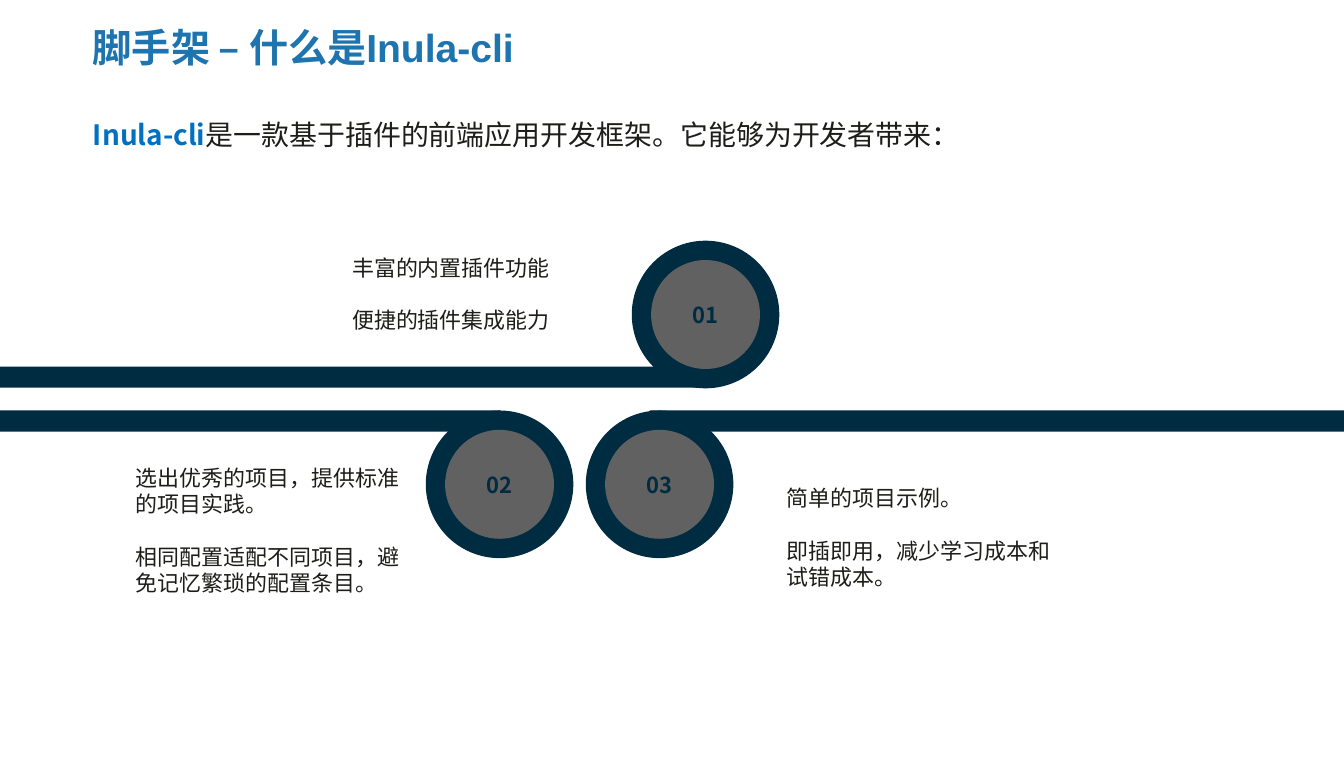
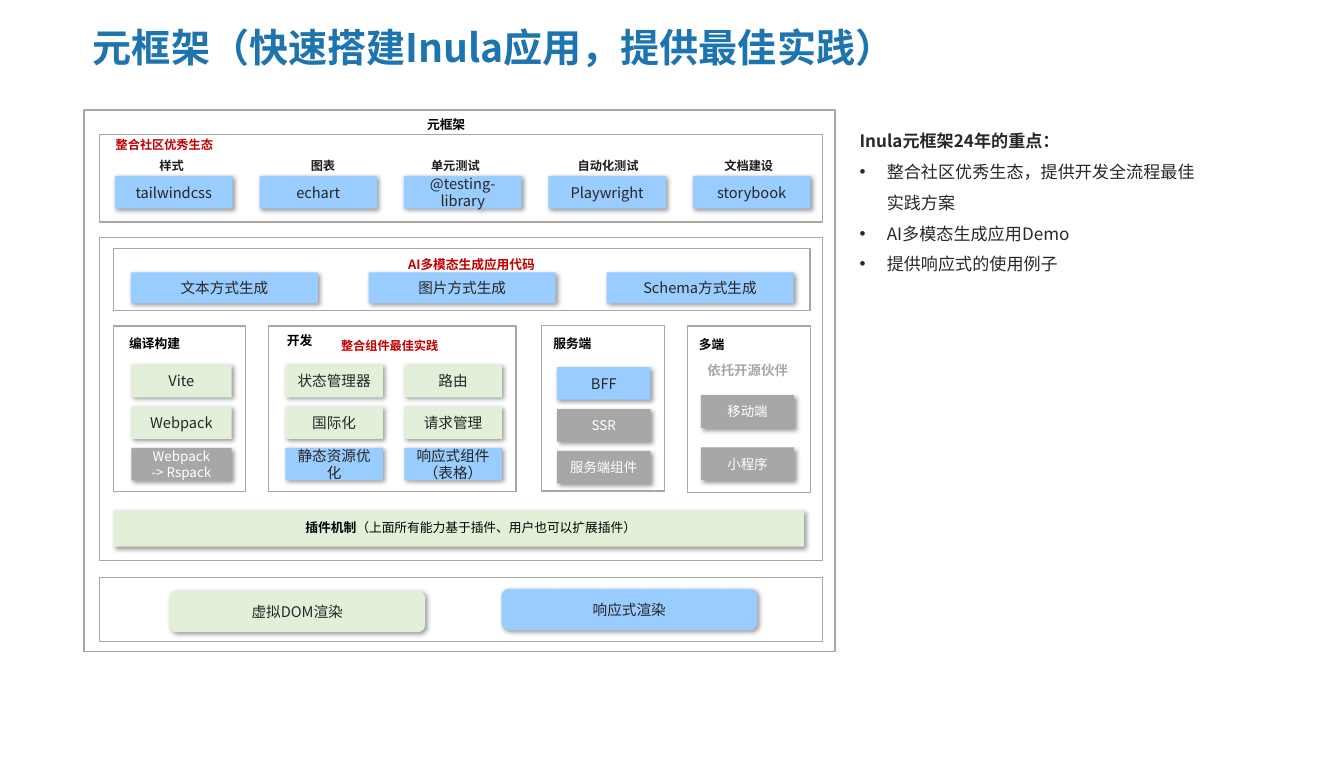
from lxml.etree import SubElement
from pptx import Presentation
from pptx.dml.color import RGBColor
from pptx.enum.shapes import MSO_SHAPE as Shape
from pptx.enum.text import MSO_ANCHOR as Anchor, PP_ALIGN as Align
from pptx.oxml.ns import qn
from pptx.util import Cm, Pt

FONT = "Noto Sans CJK SC"
TITLE_BLUE, ACCENT_BLUE = "1E74AE", "0070C0"
NAVY, DISC_GREY = "002C42", "616161"
INK, CARD_INK, BLACK, WHITE = "1D1D1A", "262626", "000000", "FFFFFF"
GREEN, BLUE, GREY, RED = "E2F0D9", "99CCFF", "A7A7A7", "C00000"
CM_PER_INCH = 2.54
WIDTH, HEIGHT = 15.31 * CM_PER_INCH, 8.8 * CM_PER_INCH


def color(value):
    return RGBColor.from_string(value)


def add_bullet(paragraph, indent):
    properties = paragraph._p.get_or_add_pPr()
    properties.set("marL", str(Cm(indent)))
    properties.set("indent", str(-Cm(indent)))
    SubElement(properties, qn("a:buFont")).set("typeface", "Arial")
    SubElement(properties, qn("a:buChar")).set("char", "•")


def write_text(frame, paragraphs, size=12, ink=INK, bold=False, font=FONT,
               align=Align.LEFT, anchor=Anchor.TOP, wrap=True, leading=None,
               gap=None, bullets_from=None, insets=None):
    frame.word_wrap = wrap
    frame.vertical_anchor = anchor
    if insets:
        (frame.margin_left, frame.margin_top,
         frame.margin_right, frame.margin_bottom) = map(Cm, insets)
    if isinstance(paragraphs, str):
        paragraphs = [paragraphs]
    for index, runs in enumerate(paragraphs):
        paragraph = frame.add_paragraph() if index else frame.paragraphs[0]
        paragraph.alignment = align
        if leading:
            paragraph.line_spacing = leading
        if gap and index:
            paragraph.space_before = Pt(gap)
        if bullets_from is not None and index >= bullets_from:
            add_bullet(paragraph, 0.79)
        for words, changes in [(runs, {})] if isinstance(runs, str) else runs:
            look = {"size": size, "ink": ink, "bold": bold, "font": font, **changes}
            run = paragraph.add_run()
            run.text = words
            run.font.size = Pt(look["size"])
            run.font.bold = look["bold"]
            run.font.color.rgb = color(look["ink"])
            run.font.name = look["font"]
            SubElement(run._r.get_or_add_rPr(), qn("a:ea")).set("typeface", FONT)


class Deck:
    def __init__(self):
        self.presentation = Presentation()
        self.presentation.slide_width = Cm(WIDTH)
        self.presentation.slide_height = Cm(HEIGHT)
        self.slide = None

    def new_slide(self, title):
        blank = self.presentation.slide_layouts[6]
        self.slide = self.presentation.slides.add_slide(blank)
        self.label(title, 2.44, 0.25, 33, 1.75, size=32.1, ink=TITLE_BLUE,
                   bold=True, anchor=Anchor.MIDDLE, leading=1.3,
                   insets=(0.25, 0.13, 0.25, 0.1))

    def label(self, text, x, y, w, h=0.71, **style):
        box = self.slide.shapes.add_textbox(Cm(x), Cm(y), Cm(w), Cm(h))
        write_text(box.text_frame, text, **style)

    def heading(self, text, x, y, w=3.33, size=10.5, ink=BLACK, **style):
        self.label(text, x, y, w, size=size, ink=ink, bold=True, **style)

    def shape(self, kind, x, y, w, h, fill=None, line=None):
        shape = self.slide.shapes.add_shape(kind, Cm(x), Cm(y), Cm(w), Cm(h))
        shape.shadow.inherit = False
        if fill:
            shape.fill.solid()
            shape.fill.fore_color.rgb = color(fill)
        else:
            shape.fill.background()
        if line:
            shape.line.color.rgb = color(line)
            shape.line.width = Pt(1)
        else:
            shape.line.fill.background()
        return shape

    def frame(self, x, y, w, h):
        self.shape(Shape.RECTANGLE, x, y, w, h, line=GREY)

    def bar(self, x, y, w):
        self.shape(Shape.RECTANGLE, x, y, w, 0.61, fill=NAVY)

    def ring(self, number, x, y, outer=4.27, inner=3.15):
        rim = (outer - inner) / 2
        self.shape(Shape.OVAL, x, y, outer, outer, fill=NAVY)
        disc = self.shape(Shape.OVAL, x + rim, y + rim, inner, inner, fill=DISC_GREY)
        write_text(disc.text_frame, number, size=18, ink=NAVY, bold=True,
                   align=Align.CENTER, anchor=Anchor.MIDDLE)

    def card(self, text, x, y, w, h=0.94, fill=BLUE, corner=0):
        card = self.shape(Shape.ROUNDED_RECTANGLE, x, y, w, h, fill=fill)
        card.adjustments[0] = corner
        muted = fill == GREY
        self.drop_shadow(card, 3 if muted else 2)
        if text:
            write_text(card.text_frame, text, size=11 if muted else 12,
                       ink=WHITE if muted else CARD_INK,
                       align=Align.CENTER, anchor=Anchor.MIDDLE)

    def drop_shadow(self, shape, distance):
        effects = shape._element.spPr.find(qn("a:effectLst"))
        shadow = SubElement(effects, qn("a:outerShdw"), blurRad=str(Pt(4)),
                            dist=str(Pt(distance)), dir="2700000",
                            algn="tl", rotWithShape="0")
        tint = SubElement(shadow, qn("a:srgbClr"), val=BLACK)
        SubElement(tint, qn("a:alpha"), val="40000")


def build_scaffold(deck):
    deck.new_slide([[("脚手架 ", {}), ("– 什么是Inula-cli", {"font": "Arial"})]])
    deck.label([[("Inula-cli", {"ink": ACCENT_BLUE, "bold": True}),
                 ("是一款基于插件的前端应用开发框架。它能够为开发者带来：", {})]],
               2.44, 3.28, 31.12, 1.24, size=22.9)

    upper, lower = 10.6, 11.87
    for number, ring_x, ring_y, bar_x, bar_y, bar_w in [
            ("02", 12.32, lower, 0, lower, 14.48),
            ("01", 18.28, 6.96, 0, upper, 20.68),
            ("03", 16.95, lower, 18.8, lower, WIDTH - 18.8)]:
        deck.bar(bar_x, bar_y, bar_w)
        deck.ring(number, ring_x, ring_y)

    for benefits, x, y, w, h in [
            (["丰富的内置插件功能", "便捷的插件集成能力"], 9.96, 7.25, 8.31, 2.54),
            (["选出优秀的项目，提供标准的项目实践。",
              "相同配置适配不同项目，避免记忆繁琐的配置条目。"], 3.7, 13.32, 8.43, 4.85),
            (["简单的项目示例。", "即插即用，减少学习成本和试错成本。"],
             22.54, 13.92, 8.31, 4.08)]:
        deck.label(benefits, x, y, w, h, size=18, gap=21.6,
                   insets=(0.23, 0.1, 0.23, 0.1))


def build_meta_framework(deck):
    deck.new_slide("元框架（快速搭建Inula应用，提供最佳实践）")
    for area in [(2.43, 3.18, 21.73, 15.65), (2.89, 3.89, 20.91, 2.53),
                 (2.89, 6.87, 20.91, 9.35), (2.89, 16.71, 20.91, 1.85),
                 (3.29, 7.19, 20.15, 1.8), (3.29, 9.43, 3.81, 4.78),
                 (7.77, 9.43, 7.16, 4.78), (15.67, 9.42, 3.56, 4.78),
                 (19.89, 9.43, 3.56, 4.81)]:
        deck.frame(*area)

    deck.heading("元框架", 11.07, 3.25, 3.68, align=Align.CENTER)
    deck.heading("编译构建", 3.49, 9.57)
    deck.heading("开发", 8.05, 9.5)
    deck.heading("服务端", 15.76, 9.59)
    deck.heading("多端", 19.97, 9.6)
    deck.heading("AI多模态生成应用代码", 11.56, 7.29, 4.29, ink=RED, wrap=False)
    deck.heading("整合社区优秀生态", 2.81, 3.86, 3.89, size=10, ink=RED,
                 align=Align.CENTER)
    deck.heading("整合组件最佳实践", 9.61, 9.66, size=10, ink=RED, align=Align.CENTER)
    deck.heading("依托开源伙伴", 19.97, 10.35, size=11, ink=GREY, align=Align.CENTER)

    ecosystem = [("样式", 3.3, "tailwindcss"), ("图表", 7.68, "echart"),
                 ("单元测试", 11.51, "@testing-library"),
                 ("自动化测试", 15.93, "Playwright"), ("文档建设", 20, "storybook")]
    for column, (purpose, purpose_x, tool) in enumerate(ecosystem):
        deck.heading(purpose, purpose_x, 4.44, size=10, ink=INK, align=Align.CENTER)
        deck.card(tool, 3.33 + column * 4.18, 5.09, 3.4)

    for column, source in enumerate(["文本方式生成", "图片方式生成", "Schema方式生成"]):
        deck.card(source, 3.79 + column * 6.88, 7.88, 5.41, 0.89)

    columns = [
        (3.8, 2.9, 10.55, 1.2, [("Vite", GREEN), ("Webpack", GREEN),
                                (["Webpack", "-> Rspack"], GREY)]),
        (8.26, 2.82, 10.55, 1.2, [("状态管理器", GREEN), ("国际化", GREEN),
                                  ("静态资源优化", BLUE)]),
        (11.7, 2.82, 10.55, 1.2, [("路由", GREEN), ("请求管理", GREEN),
                                  ("响应式组件（表格）", BLUE)]),
        (16.12, 2.7, 10.62, 1.21, [("BFF", BLUE), ("SSR", GREY), ("服务端组件", GREY)]),
        (20.28, 2.7, 11.43, 1.51, [("移动端", GREY), ("小程序", GREY)])]
    for x, w, top, step, abilities in columns:
        for row, (ability, fill) in enumerate(abilities):
            deck.card(ability, x, top + row * step, w, fill=fill)

    deck.card(None, 3.29, 14.76, 19.98, 1.05, fill=GREEN)
    deck.label([[("插件机制", {"bold": True}),
                 ("（上面所有能力基于插件、用户也可以扩展插件）", {})]],
               8.59, 14.89, 10.19, size=10.5, ink=BLACK)
    deck.card("虚拟DOM渲染", 4.9, 17.08, 7.4, 1.2, fill=GREEN, corner=0.17)
    deck.card("响应式渲染", 14.51, 17.03, 7.4, 1.2, corner=0.17)

    deck.label([[("Inula元框架24年的重点：", {"bold": True})],
                "整合社区优秀生态，提供开发全流程最佳实践方案",
                "AI多模态生成应用Demo", "提供响应式的使用例子"],
               24.62, 3.36, 10.29, 4.75, size=14, ink="282828",
               leading=1.5, bullets_from=1)


def main():
    deck = Deck()
    build_scaffold(deck)
    build_meta_framework(deck)
    deck.presentation.save("out.pptx")


if __name__ == "__main__":
    main()
